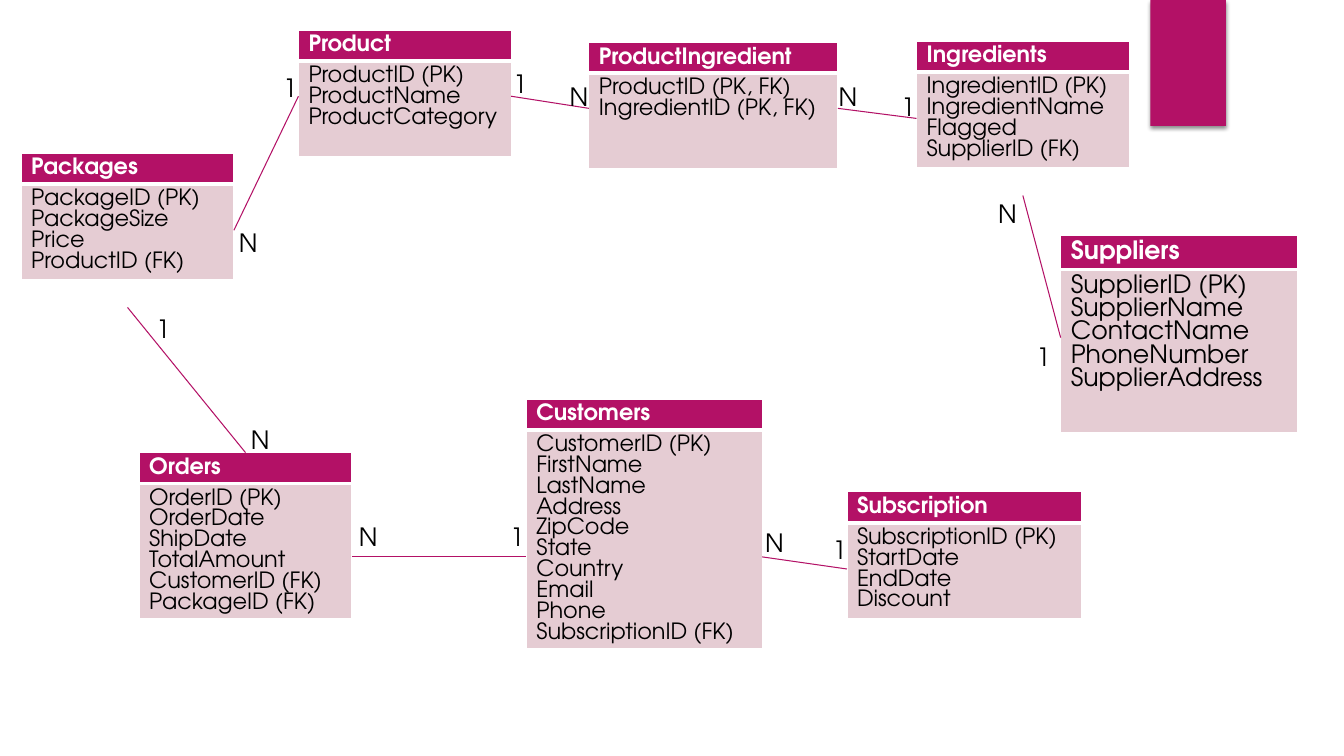
"""Build the entity relationship slide of the ordering database."""
from lxml import etree
from pptx import Presentation
from pptx.dml.color import RGBColor
from pptx.enum.shapes import MSO_CONNECTOR, MSO_SHAPE
from pptx.oxml.ns import qn
from pptx.util import Inches, Pt

RECT = MSO_SHAPE.RECTANGLE
STRAIGHT = MSO_CONNECTOR.STRAIGHT
FONT = "TeX Gyre Adventor"
MAGENTA, PINK, WHITE, BLACK = "B31166", "E5CCD3", "FFFFFF", "000000"
LINE_PITCH = 0.93

# name: (left, top, width, frame height, header height, body height, size, fields)
ENTITIES = {
    "Product": (2.96, 0.3, 2.11, 1.31, 0.3, 0.95, 16,
                ["ProductID (PK)", "ProductName", "ProductCategory"]),
    "Packages": (0.21, 1.52, 2.11, 1.53, 0.3, 0.95, 16,
                 ["PackageID (PK)", "PackageSize", "Price", "ProductID (FK)"]),
    "ProductIngredient": (5.84, 0.42, 2.47, 1.31, 0.3, 0.95, 16,
                          ["ProductID (PK, FK)", "IngredientID (PK, FK)"]),
    "Ingredients": (9.09, 0.41, 2.11, 1.53, 0.3, 0.95, 16,
                    ["IngredientID (PK)", "IngredientName", "Flagged",
                     "SupplierID (FK)"]),
    "Suppliers": (10.52, 2.34, 2.35, 2.02, 0.33, 1.62, 18,
                  ["SupplierID (PK)", "SupplierName", "ContactName",
                   "PhoneNumber", "SupplierAddress"]),
    "Customers": (5.22, 3.96, 2.34, 3.13, 0.3, 0.95, 16,
                  ["CustomerID (PK)", "FirstName", "LastName", "Address",
                   "ZipCode", "State", "Country", "Email", "Phone",
                   "SubscriptionID (FK)"]),
    "Subscription": (8.4, 4.88, 2.33, 1.53, 0.3, 0.95, 16,
                     ["SubscriptionID (PK)", "StartDate", "EndDate",
                      "Discount"]),
    "Orders": (1.38, 4.49, 2.11, 2.07, 0.3, 0.95, 16,
               ["OrderID (PK)", "OrderDate", "ShipDate", "TotalAmount",
                "CustomerID (FK)", "PackageID (FK)"]),
}
RELATIONS = [
    ("Packages", "right", "Product", "left"),
    ("Product", "right", "ProductIngredient", "left"),
    ("ProductIngredient", "right", "Ingredients", "left"),
    ("Ingredients", "bottom", "Suppliers", "left"),
    ("Packages", "bottom", "Orders", "top"),
    ("Orders", "right", "Customers", "left"),
    ("Customers", "right", "Subscription", "left"),
]
CARDINALITIES = [
    ("1", 8.16, 5.25), ("N", 3.46, 5.12), ("1", 4.96, 5.12), ("N", 7.49, 5.18),
    ("N", 2.39, 4.16), ("1", 1.45, 3.06), ("N", 2.27, 2.21), ("1", 2.71, 0.67),
    ("N", 5.55, 0.76), ("1", 4.99, 0.63), ("N", 8.22, 0.76), ("1", 8.84, 0.86),
    ("N", 9.8, 1.92), ("1", 10.18, 3.34),
]
SIDES = {"top": (0.5, 0), "left": (0, 0.5), "bottom": (0.5, 1), "right": (1, 0.5)}


def color(value):
    return RGBColor.from_string(value)


def add_run(p, text, size, ink, bold=False):
    r = p.add_run()
    r.text = text
    r.font.name = FONT
    r.font.size = Pt(size)
    r.font.bold = bold
    r.font.color.rgb = color(ink)


def set_borders(cell, widths):
    tc_pr = cell._tc.get_or_add_tcPr()
    for side, width in zip("LRTB", widths):
        ln = etree.SubElement(tc_pr, qn("a:ln" + side), w=str(Pt(width)))
        fill = etree.SubElement(ln, qn("a:solidFill"))
        etree.SubElement(fill, qn("a:srgbClr"), val=WHITE)


def fill_cell(cell, lines, size, ink, back, borders, bold):
    set_borders(cell, borders)
    cell.fill.solid()
    cell.fill.fore_color.rgb = color(back)
    tf = cell.text_frame
    for i, line in enumerate(lines):
        p = tf.add_paragraph() if i else tf.paragraphs[0]
        p.line_spacing = Pt(size * LINE_PITCH)
        add_run(p, line, size, ink, bold)


def add_entity(s, name):
    x, y, w, h, header_h, body_h, size, fields = ENTITIES[name]
    frame = s.shapes.add_table(2, 1, Inches(x), Inches(y), Inches(w), Inches(h))
    table = frame.table
    table.horz_banding = False
    table.rows[0].height = Inches(header_h)
    table.rows[1].height = Inches(body_h)
    frame.height = Inches(h)
    fill_cell(table.cell(0, 0), [name], size, WHITE, MAGENTA, (1, 1, 1, 3), True)
    fill_cell(table.cell(1, 0), fields, size, BLACK, PINK, (1, 1, 3, 1), False)


def side_point(name, side):
    x, y, w, h = ENTITIES[name][:4]
    fx, fy = SIDES[side]
    return Inches(x + w * fx), Inches(y + h * fy)


def add_relation(s, start, start_side, end, end_side):
    line = s.shapes.add_connector(STRAIGHT, *side_point(start, start_side),
                                  *side_point(end, end_side))
    line.line.color.rgb = color(MAGENTA)
    line.line.width = Pt(0.75)
    etree.SubElement(line._element.spPr, qn("a:effectLst"))


def add_cardinality(s, text, x, y):
    tf = s.shapes.add_textbox(Inches(x), Inches(y), Inches(0.31), Inches(0.4)).text_frame
    tf.word_wrap = True
    add_run(tf.paragraphs[0], text, 18, BLACK)


def add_ribbon(s):
    sp = s.shapes.add_shape(RECT, Inches(11.41), 0, Inches(0.75), Inches(1.25))
    sp.fill.solid()
    sp.fill.fore_color.rgb = color(MAGENTA)
    sp.line.fill.background()
    sp.shadow.inherit = False
    effects = sp._element.spPr.find(qn("a:effectLst"))
    shadow = etree.SubElement(effects, qn("a:outerShdw"), blurRad=str(Pt(3)),
                              dist=str(Pt(2)), dir="5400000", rotWithShape="0")
    tint = etree.SubElement(shadow, qn("a:srgbClr"), val=BLACK)
    etree.SubElement(tint, qn("a:alpha"), val="45000")


def main():
    prs = Presentation()
    prs.slide_width, prs.slide_height = Inches(13.33), Inches(7.5)
    s = prs.slides.add_slide(prs.slide_layouts[6])
    add_ribbon(s)
    for name in ENTITIES:
        add_entity(s, name)
    for relation in RELATIONS:
        add_relation(s, *relation)
    for cardinality in CARDINALITIES:
        add_cardinality(s, *cardinality)
    prs.save("out.pptx")


if __name__ == "__main__":
    main()
